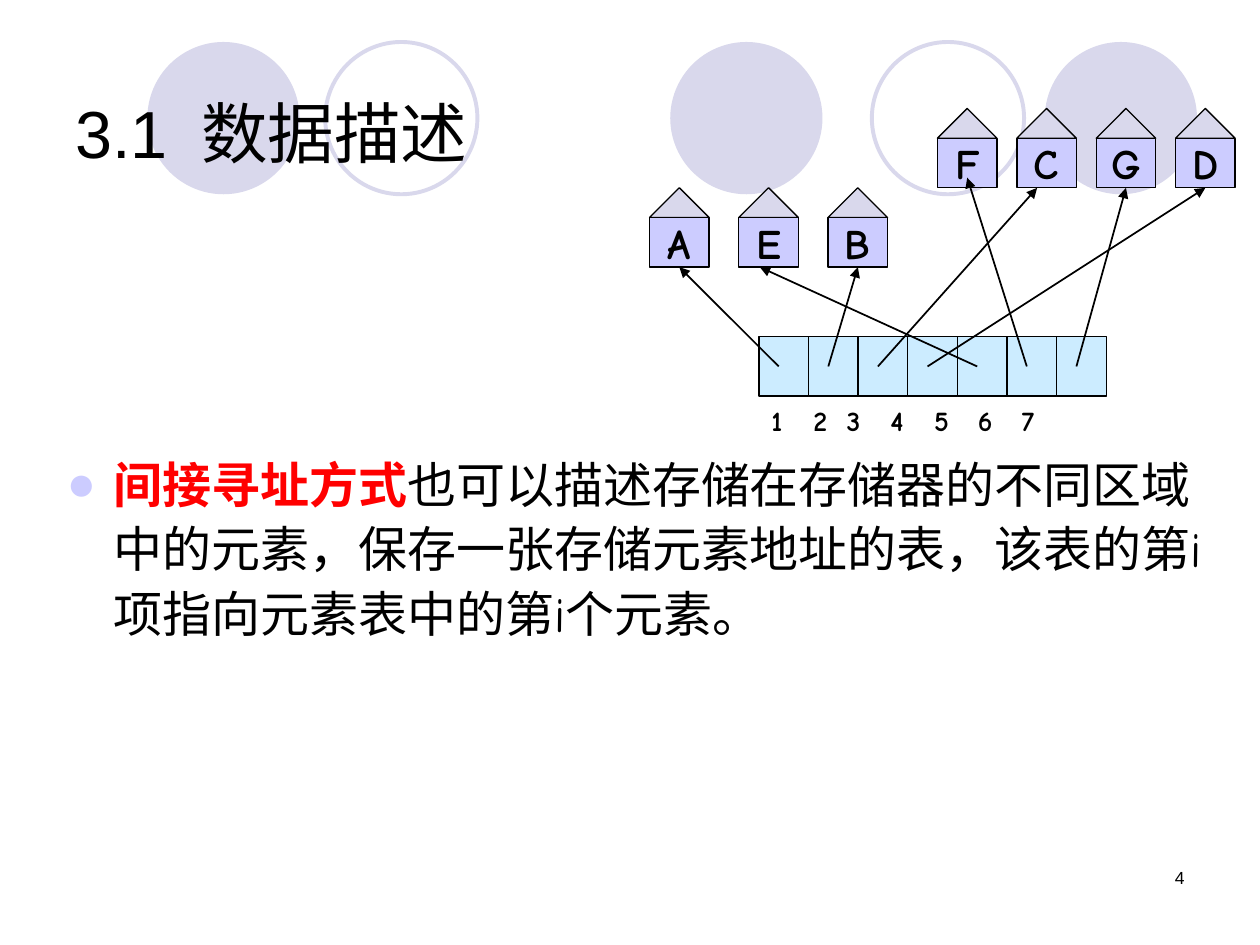
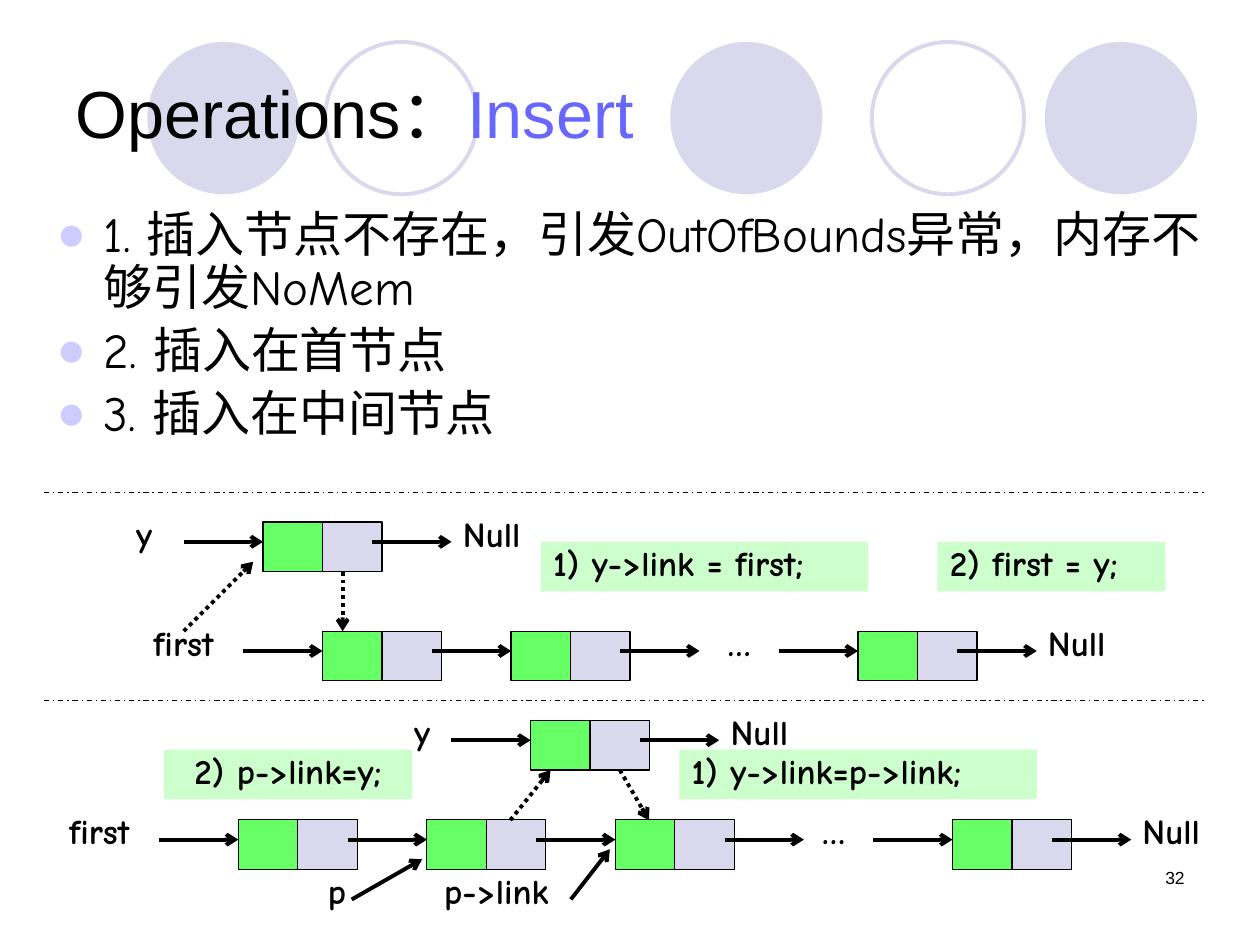
import pptx
import pptx.util
from lxml import etree
from pptx.dml.color import RGBColor
from pptx.enum.dml import MSO_LINE
from pptx.enum.shapes import MSO_CONNECTOR, MSO_SHAPE
from pptx.enum.text import MSO_ANCHOR, PP_ALIGN
from pptx.oxml.ns import qn

Pt = pptx.util.Pt

# Shared look
BLACK, RED, BLUE = "000000", "FF0000", "6767FF"
LILAC, PERIWINKLE = "D9D8EC", "CCCCFF"
SKY, GREEN, MINT = "CCECFF", "66FF66", "CCFFCC"
SANS, COMIC = "Arial", "Comic Neue"

# Diagram grid
CELL_WIDTH, CELL_HEIGHT = 34, 28.35
ROOF_HEIGHT = 17
ARROW_LENGTH = 45.36
NODE_STEP = 107.7


def paint(target, color):
    target.solid()
    target.fore_color.rgb = RGBColor.from_string(color)


def write(para, text, size=20, font=COMIC, color=BLACK, bold=False):
    span = para.add_run()
    span.text = text
    span.font.size = Pt(size)
    span.font.name = font
    span.font.bold = bold
    span.font.color.rgb = RGBColor.from_string(color)


def set_frame(box, anchor=MSO_ANCHOR.TOP, wrap=True, align=PP_ALIGN.LEFT, spacing=None):
    """Prepare the text frame and return its first paragraph."""
    frame = box.text_frame
    frame.word_wrap = wrap
    frame.vertical_anchor = anchor
    para = frame.paragraphs[0]
    para.alignment = align
    para.line_spacing = spacing
    return para


def add_box(page, left, top, width, height):
    return page.shapes.add_textbox(Pt(left), Pt(top), Pt(width), Pt(height))


def add_figure(page, kind, left, top, width, height, fill=None, line=None, weight=0.75):
    shape = page.shapes.add_shape(kind, Pt(left), Pt(top), Pt(width), Pt(height))
    shape.shadow.inherit = False
    if fill:
        paint(shape.fill, fill)
    else:
        shape.fill.background()
    if line:
        paint(shape.line.fill, line)
        shape.line.width = Pt(weight)
    else:
        shape.line.fill.background()
    return shape


def add_line(page, start, end, weight=2.25, head="arrow", dash=None):
    line = page.shapes.add_connector(
        MSO_CONNECTOR.STRAIGHT, *(Pt(value) for value in (*start, *end)))
    paint(line.line.fill, BLACK)
    line.line.width = Pt(weight)
    if dash:
        line.line.dash_style = dash
    if head:
        etree.SubElement(line.line._get_or_add_ln(), qn("a:tailEnd"), type=head)
    etree.SubElement(line._element.spPr, qn("a:effectLst"))
    return line


# Page furniture
def add_page(deck, number):
    page = deck.slides.add_slide(deck.slide_layouts[6])
    for left in (84.2, 383, 597):
        add_figure(page, MSO_SHAPE.OVAL, left, 24, 87, 87, fill=LILAC)
    for left in (185.8, 498.2):
        add_figure(page, MSO_SHAPE.OVAL, left, 24, 87, 87, line=LILAC, weight=2.25)
    para = set_frame(add_box(page, 516, 492, 168, 36), align=PP_ALIGN.RIGHT)
    write(para, str(number), size=10, font=SANS)
    return page


def add_title(page, top, height, spans, spacing=None):
    box = add_box(page, 36, top, 648, height)
    para = set_frame(box, MSO_ANCHOR.MIDDLE, spacing=spacing)
    for text, color in spans:
        write(para, text, size=38, font=SANS, color=color)


def add_bullet(para):
    properties = para._p.get_or_add_pPr()
    properties.set("marL", str(Pt(27)))
    properties.set("indent", str(Pt(-27)))
    color = etree.SubElement(properties, qn("a:buClr"))
    etree.SubElement(color, qn("a:srgbClr"), val=PERIWINKLE)
    etree.SubElement(properties, qn("a:buFont"), typeface=SANS)
    etree.SubElement(properties, qn("a:buChar"), char="●")


def add_body(page, left, top, width, height, items, spacing):
    """Each item is a list of (text, format) spans."""
    box = add_box(page, left, top, width, height)
    para = set_frame(box, spacing=spacing)
    for index, spans in enumerate(items):
        if index:
            para = box.text_frame.add_paragraph()
            para.line_spacing = spacing
            para.space_before = Pt(5.6)
        add_bullet(para)
        for text, look in spans:
            write(para, text, size=28, **look)


# Indirect addressing diagram
def add_house(page, left, top, name):
    add_figure(page, MSO_SHAPE.ISOSCELES_TRIANGLE, left, top,
               CELL_WIDTH, ROOF_HEIGHT, LILAC, BLACK)
    wall = add_figure(page, MSO_SHAPE.RECTANGLE, left, top + ROOF_HEIGHT,
                      CELL_WIDTH, CELL_HEIGHT, PERIWINKLE, BLACK)
    para = set_frame(wall, MSO_ANCHOR.MIDDLE, False, PP_ALIGN.CENTER)
    write(para, name, size=24, bold=True)
    return wall


def add_address_table(page, houses):
    left, top, width, height = 433.7, 192.4, 28.35, 34
    for index in range(len(houses)):
        add_figure(page, MSO_SHAPE.RECTANGLE, left + index * width, top,
                   width, height, SKY, BLACK)
    # Pointers that miss the middle of the wall's lower side
    offsets = {"C": (-5.4, 0), "E": (-5, 0), "F": (0, -5.8)}
    for index, name in enumerate(sorted(houses)):
        wall = houses[name]
        across, down = offsets.get(name, (0, 0))
        end = (wall.left.pt + wall.width.pt / 2 + across,
               wall.top.pt + wall.height.pt + down)
        pointer = add_line(page, (445 + index * width, top + height / 2), end, 1, "triangle")
        if name not in offsets:
            pointer.end_connect(wall, 2)

    para = set_frame(add_box(page, left, 226.8, 209.5, 26.6))
    tabs = etree.SubElement(para._p.get_or_add_pPr(), qn("a:tabLst"))
    for stop in (24, 43, 68, 93, 118, 143):
        etree.SubElement(tabs, qn("a:tab"), pos=str(Pt(stop)), algn="l")
    write(para, "\t".join("1234567"), size=16, bold=True)


# Linked list diagram
def add_label(page, left, top, width, text):
    box = add_box(page, left, top, width, CELL_HEIGHT)
    para = set_frame(box, MSO_ANCHOR.MIDDLE, False, PP_ALIGN.CENTER, 0.8)
    write(para, text, bold=True)


def add_step(page, left, top, width, text, align=PP_ALIGN.LEFT):
    box = add_figure(page, MSO_SHAPE.RECTANGLE, left, top, width, CELL_HEIGHT, MINT)
    para = set_frame(box, MSO_ANCHOR.MIDDLE, False, align, 0.8)
    write(para, text, bold=True)


def add_flat_arrow(page, left, node_top):
    level = node_top + 11.3
    add_line(page, (left, level), (left + ARROW_LENGTH, level))


def add_node(page, left, top, link_offset=62.4):
    for column, color in ((1, LILAC), (0, GREEN)):
        add_figure(page, MSO_SHAPE.RECTANGLE, left + column * CELL_WIDTH, top,
                   CELL_WIDTH, CELL_HEIGHT, color, BLACK)
    add_flat_arrow(page, left + link_offset, top)


def add_new_node(page, left, top, name_center):
    add_node(page, left, top)
    add_flat_arrow(page, left - ARROW_LENGTH, top)
    add_label(page, name_center - 17, top - 5.4, 34, "y")
    add_label(page, left + 102.2, top - 5.4, 57, "Null")


def add_chain(page, left, top, count, last_left):
    label_top = top - 5.6
    add_label(page, left - 108, label_top, 57, "first")
    add_flat_arrow(page, left - ARROW_LENGTH, top)
    for index in range(count):
        add_node(page, left + index * NODE_STEP, top)
    add_label(page, last_left - 96.5, label_top, 57, "…")
    add_flat_arrow(page, last_left - ARROW_LENGTH, top)
    add_node(page, last_left, top, link_offset=56.8)
    add_label(page, last_left + 96.5, label_top, 57, "Null")


def build_addressing(deck):
    page = add_page(deck, 4)
    add_title(page, 39, 72.7, [("3.1\t数据描述", BLACK)])
    add_body(page, 31, 252.7, 668, 266.4, [[
        ("间接寻址方式", {"color": RED, "bold": True}),
        ("也可以描述存储在存储器的不同区域中的元素，保存一张存储元素地址的表，"
         "该表的第i项指向元素表中的第i个元素。", {}),
    ]], 1.1)
    houses = {}
    for names, left, top, step in (("AEB", 371.2, 107.3, 51), ("FCGD", 535.7, 62, 45.36)):
        for index, name in enumerate(names):
            houses[name] = add_house(page, left + index * step, top, name)
    add_address_table(page, houses)


def build_insert(deck):
    page = add_page(deck, 32)
    add_title(page, 21.6, 90, [("Operations：", BLACK), ("Insert", BLUE)], 0.9)
    items = ("1. 插入节点不存在，引发OutOfBounds异常，内存不够引发NoMem",
             "2. 插入在首节点", "3. 插入在中间节点")
    add_body(page, 25.2, 116.6, 680, 142, [[(item, {})] for item in items], 0.9)
    for level in (281.4, 400.3):
        add_line(page, (25.2, level), (689, level), 0.75, None, MSO_LINE.DASH_DOT)

    # Insert before the first node
    add_new_node(page, 150.3, 298.3, 82.4)
    add_chain(page, 184.3, 360.7, 2, 490.3)
    add_step(page, 309, 309.6, 187, "1) y->link = first;")
    add_step(page, 535.7, 309.6, 130.3, "2) first = y;")

    # Insert between two nodes
    add_new_node(page, 303.2, 411.7, 241.2)
    add_step(page, 388.2, 428.4, 204.5, "1) y->link=p->link;")
    add_step(page, 93.6, 428.4, 142, "2) p->link=y;", PP_ALIGN.CENTER)
    add_chain(page, 136.2, 468.5, 3, 544.3)
    add_label(page, 178.6, 496.8, 28, "p")
    add_label(page, 241.2, 496.8, 85, "p->link")
    for start, end in (((201, 514), (241.2, 491)), ((326.2, 514), (348.5, 485.3))):
        add_line(page, start, end)

    # New links
    for start, end in (((195.8, 326.7), (195.8, 360.7)), ((105, 360.7), (144.7, 321)),
                       ((354.2, 440), (370.8, 468.7)), ((291.6, 468.7), (314.6, 440))):
        add_line(page, start, end, dash=MSO_LINE.ROUND_DOT)


def main():
    deck = pptx.Presentation()
    deck.slide_width, deck.slide_height = Pt(720), Pt(540)
    build_addressing(deck)
    build_insert(deck)
    deck.save("out.pptx")


if __name__ == "__main__":
    main()
